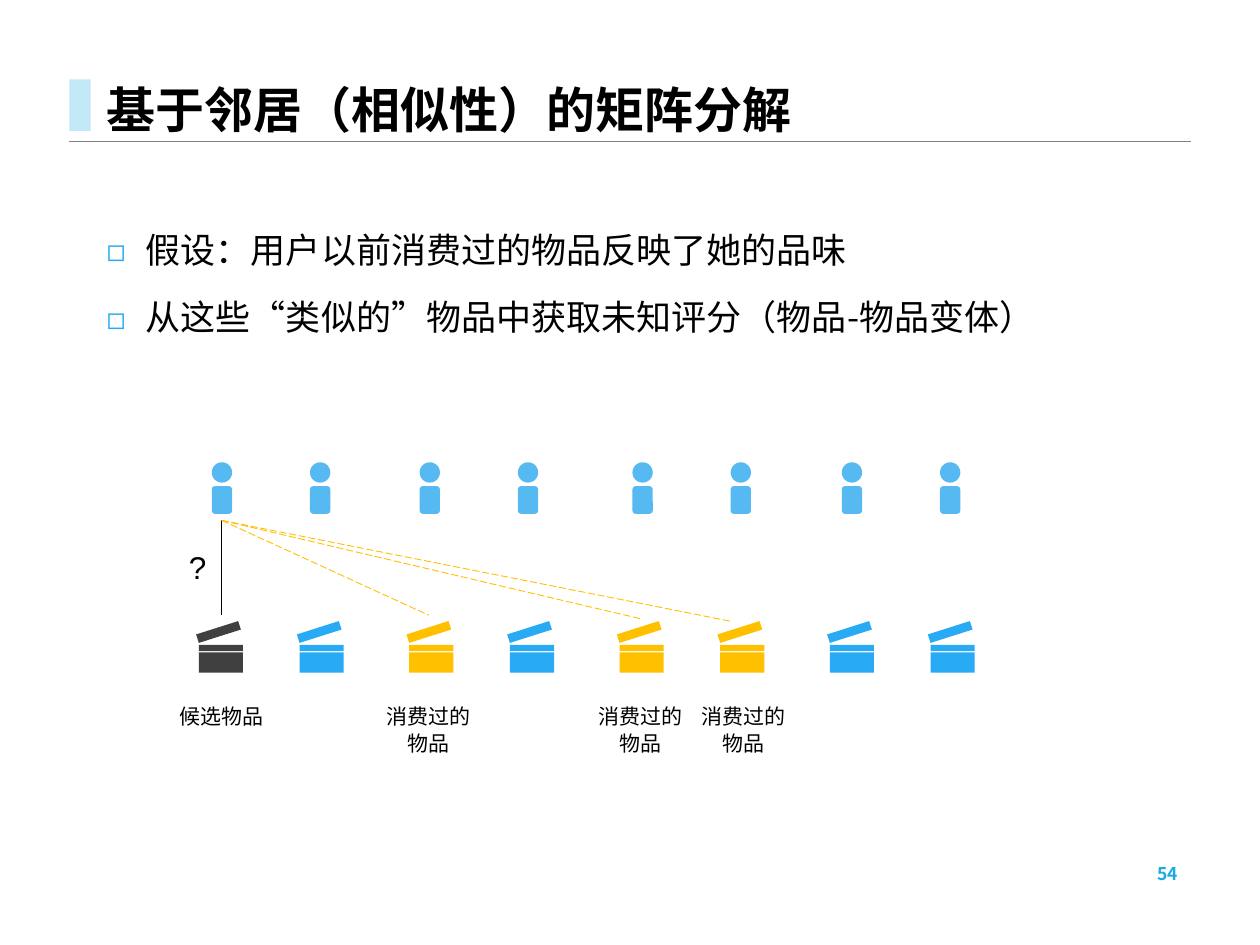
import dataclasses
import pptx
import pptx.dml.color
import pptx.enum.dml
import pptx.enum.lang
import pptx.enum.shapes
import pptx.enum.text
import pptx.oxml
import pptx.oxml.ns
import pptx.util

Cm = pptx.util.Cm
Pt = pptx.util.Pt
Kind = pptx.enum.shapes.MSO_SHAPE
Align = pptx.enum.text.PP_ALIGN
Anchor = pptx.enum.text.MSO_ANCHOR


@dataclasses.dataclass(frozen=True)
class Theme:
    font: str = "Noto Sans CJK JP"
    latin: str = "Arial"
    ink: str = "000000"
    rule: str = "808080"
    pale: str = "C2E9F7"
    page: str = "17ABE3"
    blue: str = "29AAF5"
    user: str = "57B9F2"
    gold: str = "FFC000"
    dark: str = "404040"
    title: int = 28
    body: int = 20
    mark: int = 18
    label: int = 12
    small: int = 10


def color(code):
    return pptx.dml.color.RGBColor.from_string(code)


def node(tag, **attrs):
    item = pptx.oxml.parse_xml(f"<a:{tag} {pptx.oxml.ns.nsdecls('a')}/>")
    for name, value in attrs.items():
        item.set(name, value)
    return item


class Deck:
    def __init__(self, theme):
        self.theme = theme
        self.file = pptx.Presentation()
        self.file.slide_width, self.file.slide_height = Cm(25.4), Cm(19.05)
        self.slide = self.file.slides.add_slide(self.file.slide_layouts[6])

    def shape(self, kind, box, fill, turn=0, group=None):
        shapes = (group or self.slide).shapes
        item = shapes.add_shape(kind, *map(Cm, box))
        item.shadow.inherit = False
        item.fill.solid()
        item.fill.fore_color.rgb = color(fill)
        item.line.fill.background()
        item.rotation = turn

    def line(self, start, end, ink, width, dash=None):
        kind = pptx.enum.shapes.MSO_CONNECTOR.STRAIGHT
        item = self.slide.shapes.add_connector(kind, *map(Cm, start + end))
        item.line.color.rgb = color(ink)
        item.line.width = Pt(width)
        if dash:
            item.line.dash_style = dash
        item._element.spPr.append(node("effectLst"))

    def text(self, box, text, size, ink=None, font=None, bold=False,
             align=Align.LEFT, anchor=Anchor.TOP, wrap=True, space=None):
        frame = self.slide.shapes.add_textbox(*map(Cm, box)).text_frame
        frame.text = text
        frame.word_wrap = wrap
        frame.vertical_anchor = anchor
        for para in frame.paragraphs:
            para.alignment = align
            if space:
                para.line_spacing = Pt(space)
            for run in para.runs:
                face = run.font
                face.size, face.bold = Pt(size), bold
                face.color.rgb = color(ink or self.theme.ink)
                face.name = font or self.theme.font
                face.language_id = pptx.enum.lang.MSO_LANGUAGE_ID.SIMPLIFIED_CHINESE
                latin = run._r.rPr.find(pptx.oxml.ns.qn("a:latin"))
                latin.addnext(node("ea", typeface=face.name))
        return frame

    def list(self, box, lines, size, space, gap):
        frame = self.text(box, "\n".join(lines), size, space=space)
        frame.margin_top = Cm(0.2)
        for spot, para in enumerate(frame.paragraphs):
            if spot:
                para.space_before = Pt(gap)
            props = para._p.get_or_add_pPr()
            props.set("marL", str(Cm(0.79)))
            props.set("indent", str(-Cm(0.79)))
            tint = node("buClr")
            tint.append(node("srgbClr", val=self.theme.blue))
            props.extend([tint, node("buSzPct", val="88000"),
                          node("buFont", typeface=self.theme.font),
                          node("buChar", char="◻")])

    def film(self, left, fill):
        group = self.slide.shapes.add_group_shape()
        self.shape(Kind.RECTANGLE, (left, 13, 0.89, 0.13), fill, group=group)
        self.shape(Kind.RECTANGLE, (left - 0.05, 12.65, 0.89, 0.18), fill, 342.4, group)
        self.shape(Kind.RECTANGLE, (left, 13.15, 0.89, 0.41), fill, group=group)

    def person(self, left):
        group = self.slide.shapes.add_group_shape()
        fill = self.theme.user
        self.shape(Kind.OVAL, (left, 9.32, 0.41, 0.41), fill, group=group)
        self.shape(Kind.ROUNDED_RECTANGLE, (left, 9.8, 0.41, 0.56), fill, group=group)


def main():
    theme = Theme()
    deck = Deck(theme)

    deck.line((1.4, 2.84), (24, 2.84), theme.rule, 0.25)
    deck.shape(Kind.RECTANGLE, (1.4, 1.6, 0.43, 1.04), theme.pale)
    title = deck.text((1.9, 0, 22.61, 2.84), "基于邻居（相似性）的矩阵分解", theme.title,
                      bold=True, anchor=Anchor.BOTTOM, space=31)
    title.margin_bottom = Cm(0.05)
    deck.text((17.93, 17.32, 6.07, 0.58), "54", theme.small, theme.page, bold=True,
              align=Align.RIGHT, anchor=Anchor.MIDDLE)
    deck.list((1.9, 4.24, 22.1, 3.07),
              ["假设：用户以前消费过的物品反映了她的品味",
               "从这些“类似的”物品中获取未知评分（物品-物品变体）"],
              theme.body, 28.6, 10)

    fills = [theme.dark, theme.blue, theme.gold, theme.blue,
             theme.gold, theme.gold, theme.blue, theme.blue]
    for spot, fill in enumerate(fills):
        pair, side = divmod(spot, 2)
        deck.film(4.01 + 4.24 * pair + 2.03 * side, fill)
    for left in (4.27, 8.46, 12.75, 16.97):
        for side in range(2):
            deck.person(left + 1.98 * side)

    start = (4.47, 10.49)
    deck.line(start, (4.47, 12.4), theme.ink, 0.5)
    for end in ((8.64, 12.4), (12.9, 12.47), (14.71, 12.52)):
        deck.line(start, end, theme.gold, 0.5, pptx.enum.dml.MSO_LINE.LONG_DASH)
    mark = deck.text((3.81, 10.85, 0.36, 1.22), "?", theme.mark, font=theme.latin, wrap=False)
    mark.margin_left = mark.margin_right = 0
    mark.margin_top = Cm(0.2)

    deck.text((3.35, 14.05, 2.24, 0.76), "候选物品", theme.label,
              align=Align.CENTER, wrap=False, space=14.9)
    for left in (7.52, 11.79, 13.87):
        deck.text((left, 14.05, 2.24, 1.27), "消费过的物品", theme.label,
                  align=Align.CENTER, space=14.9)

    deck.file.save("out.pptx")


if __name__ == "__main__":
    main()
